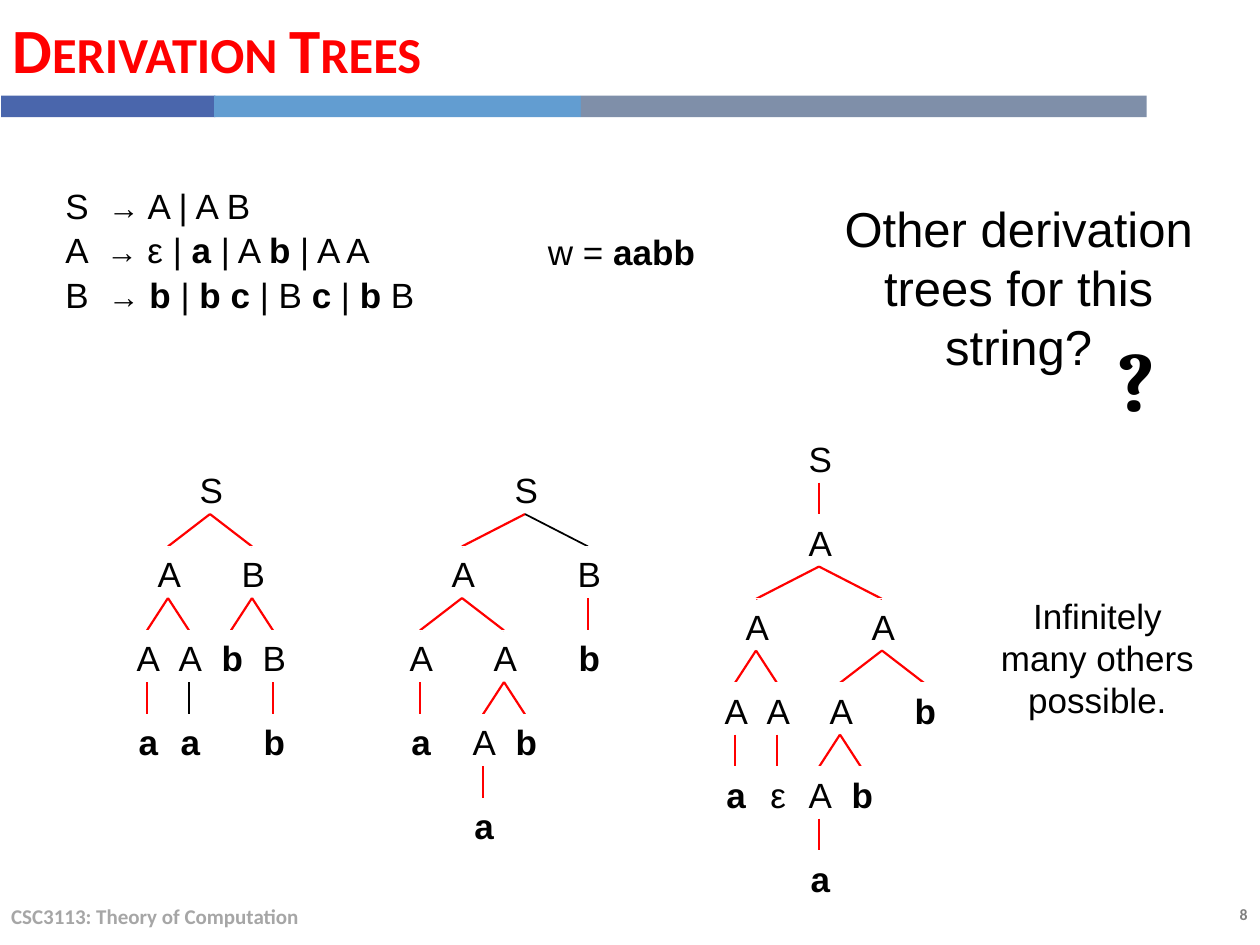
"""Builds a slide with three derivation trees for one string."""
from lxml.etree import SubElement
from pptx import Presentation
from pptx.dml.color import RGBColor
from pptx.enum.shapes import MSO_CONNECTOR as Link, MSO_SHAPE as Kind
from pptx.enum.text import MSO_ANCHOR as Anchor, MSO_AUTO_SIZE as Fit, PP_ALIGN as Align
from pptx.oxml.ns import qn
from pptx.util import Inches, Pt

RED = RGBColor(0xFF, 0, 0)
BLACK = RGBColor(0, 0, 0)
WHITE = RGBColor(0xFF, 0xFF, 0xFF)
GRAY = RGBColor(0x80, 0x80, 0x80)
PALE = RGBColor(0xA6, 0xA6, 0xA6)
BLUE = RGBColor(0x4A, 0x66, 0xAC)
SKY = RGBColor(0x62, 0x9D, 0xD1)
SLATE = RGBColor(0x7F, 0x8F, 0xA9)

BARS = [(0.01, 1.7, BLUE), (1.7, 2.91, SKY), (4.61, 4.49, SLATE)]
RULES = [
    [("S  ", 20, False), ("→", 18, False), (" A | A B", 20, False)],
    [("A  ", 20, False), ("→", 18, False), (" ε | ", 20, False),
     ("a", 20, True), (" | A ", 20, False), ("b", 20, True),
     (" | A A", 20, False)],
    [("B  ", 20, False), ("→", 18, False), (" ", 20, False),
     ("b", 20, True), (" | ", 20, False), ("b c", 20, True),
     (" | B ", 20, False), ("c", 20, True), (" | ", 20, False),
     ("b ", 20, True), ("B", 20, False)],
]
WORD = [[("w = ", 20, False), ("aabb", 20, True)]]
ASK = [[("Other derivation trees for this string?", 28, False)]]
MARK = [[("?", 48, True)]]
MORE = [[("Infinitely many others possible.", 20, False)]]
TITLE = [[("Derivation Trees", 36, True)]]
COURSE = [[("CSC3113: Theory of Computation", 12, True)]]
PAGE = [[("8", 9, True)]]

TREES = [
    (3.67, ("S", 10,
            ("A", 8, ("A", 7, ("a", 7)), ("A", 9, ("a", 9))),
            ("B", 12, ("b", 11), ("B", 13, ("b", 13))))),
    (3.67, ("S", 25,
            ("A", 22, ("A", 20, ("a", 20)),
             ("A", 24, ("A", 23, ("a", 23)), ("b", 25))),
            ("B", 28, ("b", 28)))),
    (3.42, ("S", 39, ("A", 39,
            ("A", 36, ("A", 35, ("a", 35)), ("A", 37, ("ε", 37))),
            ("A", 42, ("A", 40, ("A", 39, ("a", 39)), ("b", 41)),
             ("b", 44))))),
]
DARK = {("a", 9), ("B", 28)}
UNIT = 1 / 6
STEP = 2 / 3
SIZES = {"a": (0.37, 0.43), "b": (0.38, 0.43), "ε": (0.32, 0.43)}

deck = Presentation()
deck.slide_width, deck.slide_height = Inches(10), Inches(7.5)
slide = deck.slides.add_slide(deck.slide_layouts[6])
shapes = slide.shapes


def write(shape, paras, font="Arial", color=BLACK, align=Align.CENTER,
          anchor=Anchor.TOP, wrap=False, fit=Fit.SHAPE_TO_FIT_TEXT):
    frame = shape.text_frame
    frame.word_wrap, frame.auto_size = wrap, fit
    frame.vertical_anchor = anchor
    for i, runs in enumerate(paras):
        para = frame.add_paragraph() if i else frame.paragraphs[0]
        para.alignment = align
        for text, size, bold in runs:
            run = para.add_run()
            run.text = text
            run.font.name, run.font.size = font, Pt(size)
            run.font.bold = bold
            run.font.color.rgb = color
    return frame


def label(spot, paras, **style):
    return write(shapes.add_textbox(*map(Inches, spot)), paras, **style)


def box(spot, paras, **style):
    shape = shapes.add_shape(Kind.RECTANGLE, *map(Inches, spot))
    shape.shadow.inherit = False
    shape.fill.background()
    shape.line.color.rgb, shape.line.width = WHITE, Pt(0.75)
    return write(shape, paras, **style)


def edge(x, y, end, dark):
    line = shapes.add_connector(Link.STRAIGHT, Inches(x), Inches(y + 0.41),
                                Inches(end), Inches(y + STEP))
    line.line.color.rgb = BLACK if dark else RED
    line.line.width = Pt(1 if dark else 1.25)
    SubElement(line._element.spPr, qn("a:effectLst"))


def grow(node, y):
    name, col, *kids = node
    x = col * UNIT
    wide, high = SIZES.get(name, (0.39, 0.44))
    box((x + 0.01 - wide / 2, y, wide, high), [[(name, 20, name in "ab")]])
    for kid in kids:
        edge(x, y, kid[1] * UNIT, kid[:2] in DARK)
        grow(kid, y + STEP)


label((8.73, 7.13, 1.27, 0.25), PAGE, font="Calibri", color=GRAY,
      align=Align.RIGHT, wrap=True)
for left, wide, color in BARS:
    bar = shapes.add_shape(Kind.RECTANGLE, Inches(left), Inches(0.76),
                           Inches(wide), Inches(0.17))
    bar.shadow.inherit = False
    bar.fill.solid()
    bar.fill.fore_color.rgb = color
    bar.line.fill.background()
label((-0.01, 7.07, 6.7, 0.4), COURSE, font="Calibri", color=PALE,
      align=Align.LEFT, anchor=Anchor.MIDDLE, wrap=True, fit=Fit.NONE)
head = label((0, 0, 9.1, 0.76), TITLE, font="Calibri", color=RED,
             align=Align.LEFT, anchor=Anchor.MIDDLE, wrap=True, fit=Fit.NONE)
head.paragraphs[0].space_before = Pt(6)
head.paragraphs[0].runs[0].font._element.set("cap", "small")

box((7.84, 4.67, 1.74, 1.1), MORE, wrap=True)
for top, root in TREES:
    grow(root, top)

rules = box((0.42, 1.45, 2.99, 1.14), RULES, align=Align.LEFT)
for para in rules.paragraphs:
    para.line_spacing, para.space_before = 0.9, Pt(4)
box((4.25, 1.78, 1.38, 0.44), WORD, align=Align.LEFT)
box((6.5, 1.53, 3.17, 1.51), ASK, wrap=True)
box((8.77, 2.55, 0.5, 0.9), MARK, font="Cambria")

deck.save("out.pptx")
